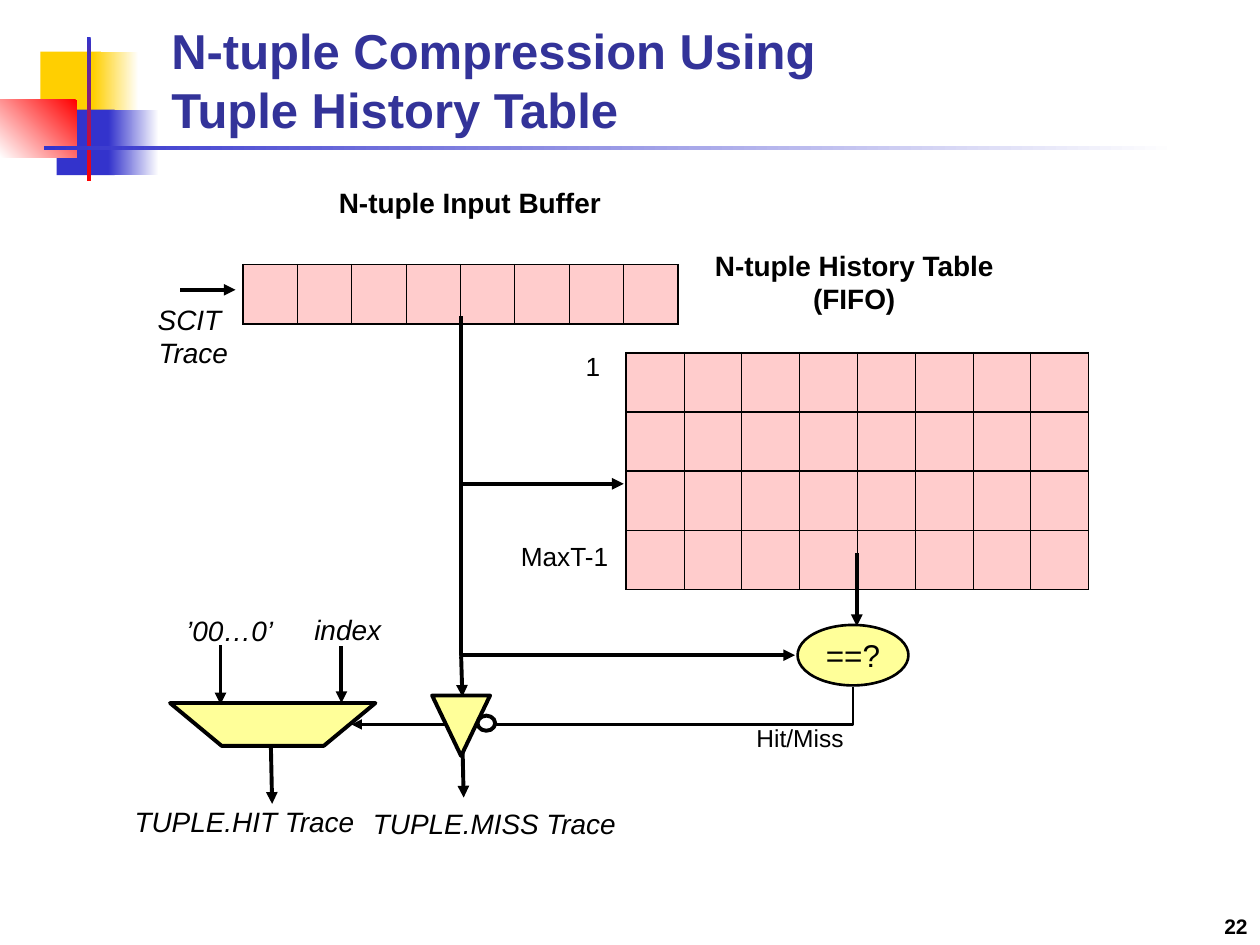
from lxml import etree
from pptx import Presentation
from pptx.dml.color import RGBColor
from pptx.enum.shapes import MSO_CONNECTOR, MSO_SHAPE
from pptx.enum.text import MSO_ANCHOR, MSO_AUTO_SIZE, PP_ALIGN
from pptx.oxml.ns import qn
from pptx.util import Inches, Pt

BLACK = RGBColor(0x00, 0x00, 0x00)
WHITE = RGBColor(0xFF, 0xFF, 0xFF)
GOLD = RGBColor(0xFF, 0xCF, 0x01)
BLUE = RGBColor(0x33, 0x33, 0xCC)
RED = RGBColor(0xFF, 0x00, 0x00)
TITLE_BLUE = RGBColor(0x33, 0x33, 0x99)
PINK = RGBColor(0xFF, 0xCC, 0xCC)
YELLOW = RGBColor(0xFF, 0xFF, 0x99)

RECTANGLE, OVAL = MSO_SHAPE.RECTANGLE, MSO_SHAPE.OVAL
TRIANGLE = MSO_SHAPE.ISOSCELES_TRIANGLE
STRAIGHT, ELBOW = MSO_CONNECTOR.STRAIGHT, MSO_CONNECTOR.ELBOW
LEFT, CENTER, RIGHT = PP_ALIGN.LEFT, PP_ALIGN.CENTER, PP_ALIGN.RIGHT
TOP, MIDDLE, BOTTOM = MSO_ANCHOR.TOP, MSO_ANCHOR.MIDDLE, MSO_ANCHOR.BOTTOM

TITLE = "N-tuple Compression Using \vTuple History Table"
TITLE_BOX = (1.26, 0.17, 8.52, 0.98)

# box, fill colours (two make a gradient), counterclockwise gradient angle
ORNAMENTS = [
    ((0.32, 0.41, 0.48, 0.52), (GOLD,), 0),
    ((0.74, 0.41, 0.36, 0.52), (WHITE, GOLD), 180),
    ((0.45, 0.87, 0.46, 0.52), (BLUE,), 0),
    ((0.86, 0.87, 0.40, 0.52), (WHITE, BLUE), 180),
    ((0, 0.79, 0.61, 0.46), (RED, WHITE), 225),
    ((0.69, 0.29, 0.03, 1.15), (BLUE, RED), 270),
    ((0.35, 1.16, 9, 0.03), (WHITE, BLUE), 180),
]

# left, top, width, rows
ROW_HEIGHT, COLUMNS = 0.47, 8
INPUT_BUFFER = (1.93, 2.1, 3.45, 1)
HISTORY_TABLE = (4.97, 2.8, 3.67, 4)
THIN, THICK = 0.45, 1.08

HEADING = {"size": Pt(16), "bold": True}
TRACE = {"size": Pt(16), "italic": True}
INDEX = {"size": Pt(15)}
# text, box, font, alignment, space before
LABELS = [
    ("N-tuple Input Buffer", (2.4, 1.42, 2.66, 0.37), HEADING, CENTER, 10),
    ("N-tuple History Table\v(FIFO)", (5.39, 1.92, 2.78, 0.64), HEADING, CENTER, 10),
    ("SCIT \vTrace", (1.07, 2.35, 0.93, 0.64), TRACE, CENTER, 2),
    ("1", (4.55, 2.73, 0.28, 0.35), INDEX, CENTER, 9.4),
    ("MaxT-1", (3.99, 4.24, 0.98, 0.35), INDEX, CENTER, 9.4),
    ("’00…0’", (1.38, 4.82, 1.06, 0.37), TRACE, LEFT, 2),
    ("index", (2.33, 4.81, 0.86, 0.37), TRACE, CENTER, 2),
    ("Hit/Miss", (5.87, 5.69, 0.96, 0.34), {"size": Pt(14)}, CENTER, 8.8),
    ("TUPLE.HIT Trace", (0.95, 6.34, 1.98, 0.37), TRACE, CENTER, 2),
    ("TUPLE.MISS Trace", (2.76, 6.35, 2.33, 0.37), TRACE, CENTER, 2),
]
PAGE_NUMBER = ("22", (7.92, 7, 2.08, 0.5))

ARROWS = [
    ((1.43, 2.3), (1.87, 2.3)),      # trace into buffer
    ((3.67, 3.84), (4.95, 3.84)),    # buffer into history table
    ((6.8, 4.39), (6.8, 4.97)),      # history table into comparator
    ((1.75, 5.12), (1.75, 5.59)),    # zeros into multiplexer
    ((2.71, 5.13), (2.71, 5.58)),    # index into multiplexer
    ((2.15, 5.93), (2.16, 6.38)),    # multiplexer out
    ((3.66, 5.21), (3.67, 5.53)),    # buffer into gate
    ((3.67, 5.88), (3.68, 6.33)),    # gate out
]
BUFFER_TO_COMPARATOR = ((3.66, 2.51), (6.31, 5.2), 2.25)
COMPARATOR_TO_MULTIPLEXER = ((6.77, 5.45), (2.79, 5.75), 1.5)

MULTIPLEXER = [(1.35, 5.58), (2.98, 5.58), (2.57, 5.92), (1.76, 5.92)]
COMPARATOR = (6.33, 4.96, 0.88, 0.48)
GATE = (3.43, 5.52, 0.46, 0.48)
INVERTER = (3.79, 5.68, 0.14, 0.12)


def inches(values):
    return [Inches(value) for value in values]


def set_text(frame, text, font, alignment, anchor, before=0):
    frame.text = text
    frame.word_wrap = True
    frame.vertical_anchor = anchor
    paragraph = frame.paragraphs[0]
    paragraph.alignment = alignment
    paragraph.space_before = Pt(before)
    for run in paragraph.runs:
        run.font.color.rgb = BLACK
        for name, value in {"name": "Arial", **font}.items():
            if name == "color":
                run.font.color.rgb = value
            else:
                setattr(run.font, name, value)


def add_label(slide, text, box, font, alignment, before=0, anchor=TOP):
    frame = slide.shapes.add_textbox(*inches(box)).text_frame
    set_text(frame, text, font, alignment, anchor, before)
    return frame


def style_shape(shape, fill, line_width):
    shape.shadow.inherit = False
    shape.fill.solid()
    shape.fill.fore_color.rgb = fill
    shape.line.color.rgb = BLACK
    shape.line.width = Pt(line_width)


def add_node(slide, kind, box, fill, line_width):
    shape = slide.shapes.add_shape(kind, *inches(box))
    style_shape(shape, fill, line_width)
    return shape


def add_polygon(slide, corners, fill, line_width):
    start, *others = [inches(corner) for corner in corners]
    builder = slide.shapes.build_freeform(*start)
    builder.add_line_segments(others, close=True)
    style_shape(builder.convert_to_shape(), fill, line_width)


def add_ornament(slide, box, colors, angle):
    shape = slide.shapes.add_shape(RECTANGLE, *inches(box))
    shape.shadow.inherit = False
    shape.line.fill.background()
    if len(colors) == 1:
        shape.fill.solid()
        shape.fill.fore_color.rgb = colors[0]
        return
    shape.fill.gradient()
    shape.fill.gradient_angle = angle
    for stop, color in zip(shape.fill.gradient_stops, colors):
        stop.color.rgb = color


def add_arrow(slide, start, end, width=2.25, kind=STRAIGHT):
    connector = slide.shapes.add_connector(kind, *inches(start + end))
    connector.line.color.rgb = BLACK
    connector.line.width = Pt(width)
    properties = connector._element.spPr
    etree.SubElement(properties.find(qn("a:ln")), qn("a:tailEnd"), type="triangle")
    etree.SubElement(properties, qn("a:effectLst"))
    return connector


def add_corner_arrow(slide, start, end, width):
    """Arrow that runs down first and then sideways, as a turned bentConnector2."""
    (x1, y1), (x2, y2) = start, end
    across, down = abs(x2 - x1), y2 - y1
    connector = add_arrow(slide, (0, 0), (0, 0), width, ELBOW)
    connector.left = Inches((x1 + x2 - down) / 2)
    connector.top = Inches((y1 + y2 - across) / 2)
    connector.width, connector.height = Inches(down), Inches(across)
    properties = connector._element.spPr
    properties.find(qn("a:prstGeom")).set("prst", "bentConnector2")
    transform = properties.find(qn("a:xfrm"))
    transform.set("rot", str((270 if x2 > x1 else 90) * 60000))
    if x2 > x1:
        transform.set("flipH", "1")


def add_grid(slide, left, top, width, rows):
    box = inches((left, top, width, rows * ROW_HEIGHT))
    table = slide.shapes.add_table(rows, COLUMNS, *box).table
    table.first_row = table.horz_banding = False
    for row in table.rows:
        for column, cell in enumerate(row.cells):
            widths = {"L": THICK if column == 0 else THIN,
                      "R": THICK if column == COLUMNS - 1 else THIN,
                      "T": THICK, "B": THICK}
            for side, points in widths.items():
                border = etree.SubElement(cell._tc.get_or_add_tcPr(),
                                          qn("a:ln" + side), w=str(Pt(points)))
                fill = etree.SubElement(border, qn("a:solidFill"))
                etree.SubElement(fill, qn("a:srgbClr"), val=str(BLACK))
            cell.fill.solid()
            cell.fill.fore_color.rgb = PINK


def main():
    presentation = Presentation()
    presentation.slide_width, presentation.slide_height = inches((10, 7.5))
    slide = presentation.slides.add_slide(presentation.slide_layouts[5])

    for ornament in ORNAMENTS:
        add_ornament(slide, *ornament)
    title = slide.shapes.title
    title.left, title.top, title.width, title.height = inches(TITLE_BOX)
    set_text(title.text_frame, TITLE,
             {"size": Pt(28), "bold": True, "color": TITLE_BLUE}, LEFT, BOTTOM)
    title.text_frame.auto_size = MSO_AUTO_SIZE.NONE

    for grid in (INPUT_BUFFER, HISTORY_TABLE):
        add_grid(slide, *grid)
    comparator = add_node(slide, OVAL, COMPARATOR, YELLOW, 1.5)
    set_text(comparator.text_frame, "==?", {"size": Pt(18)}, CENTER, MIDDLE)
    comparator.text_frame.word_wrap = False
    add_polygon(slide, MULTIPLEXER, YELLOW, 2.25)
    for arrow in ARROWS:
        add_arrow(slide, *arrow)
    for corner in (BUFFER_TO_COMPARATOR, COMPARATOR_TO_MULTIPLEXER):
        add_corner_arrow(slide, *corner)
    gate = add_node(slide, TRIANGLE, GATE, YELLOW, 2.25)
    gate._element.spPr.find(qn("a:xfrm")).set("flipV", "1")
    add_node(slide, OVAL, INVERTER, WHITE, 2.25)

    for label in LABELS:
        add_label(slide, *label).auto_size = MSO_AUTO_SIZE.SHAPE_TO_FIT_TEXT
    add_label(slide, *PAGE_NUMBER, {"size": Pt(12), "bold": True}, RIGHT, anchor=BOTTOM)
    presentation.save("out.pptx")


if __name__ == "__main__":
    main()
